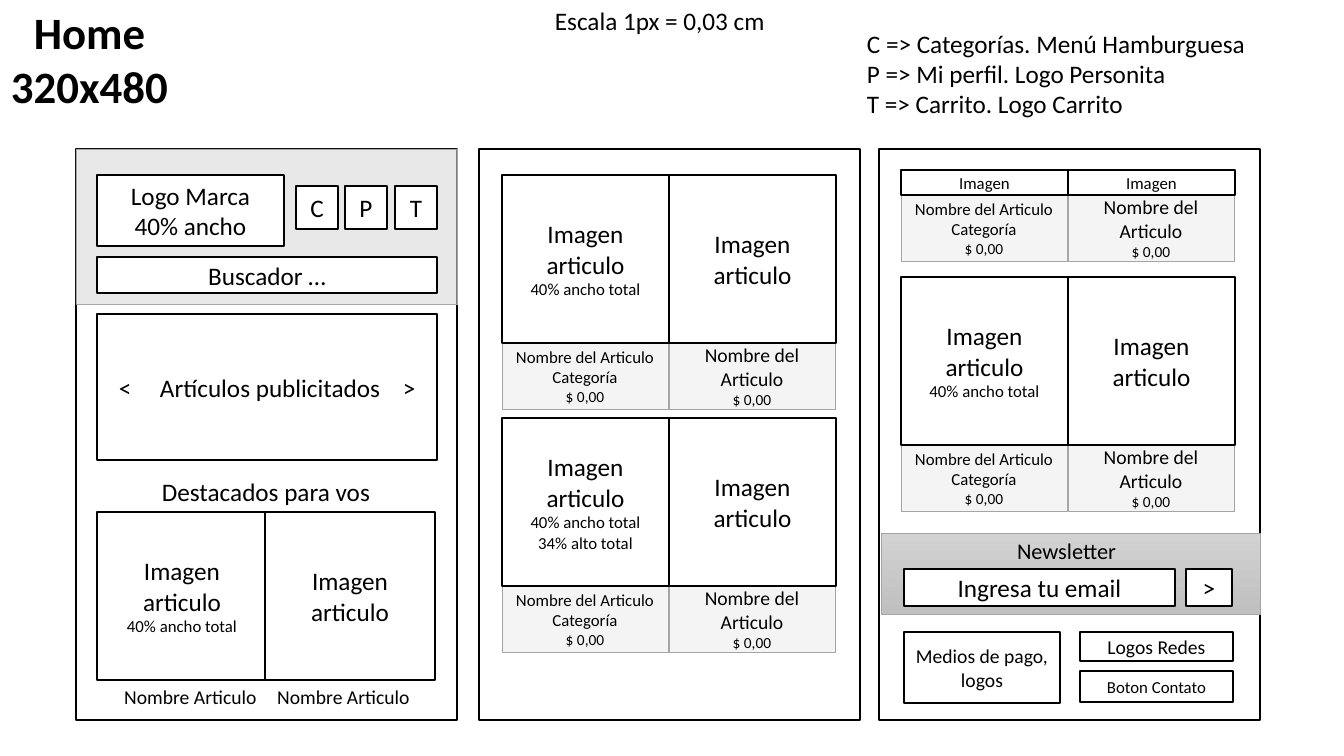
from lxml import etree
from pptx import Presentation
from pptx.dml.color import RGBColor
from pptx.enum.shapes import MSO_SHAPE
from pptx.enum.text import MSO_ANCHOR, MSO_AUTO_SIZE, PP_ALIGN
from pptx.oxml.ns import qn
from pptx.util import Pt

RECTANGLE = MSO_SHAPE.RECTANGLE
TOP, MIDDLE = MSO_ANCHOR.TOP, MSO_ANCHOR.MIDDLE
LEFT, CENTER = PP_ALIGN.LEFT, PP_ALIGN.CENTER
PIXEL = 914400 / 100.8
BLACK, WHITE, GRAY, PALE = "000000", "FFFFFF", "A5A5A5", "D9D9D9"


def write(shape, lines, align=CENTER, anchor=MIDDLE, wrap=True, bold=False):
    """Fill a shape with (text, size) paragraphs."""
    frame = shape.text_frame
    frame.auto_size = MSO_AUTO_SIZE.NONE
    frame.word_wrap = wrap
    frame.vertical_anchor = anchor
    for index, (text, size) in enumerate(lines):
        paragraph = frame.add_paragraph() if index else frame.paragraphs[0]
        paragraph.text = text
        paragraph.alignment = align
        paragraph.font.name = "Calibri"
        paragraph.font.size = Pt(size)
        paragraph.font.bold = bold
        paragraph.font.color.rgb = RGBColor.from_string(BLACK)


def add_box(box, lines=(), fill=WHITE, line=BLACK, opacity=100):
    """Draw an outlined rectangle at (left, top, width, height) in pixels."""
    shape = slide.shapes.add_shape(RECTANGLE, *[round(n * PIXEL) for n in box])
    shape.shadow.inherit = False
    shape.fill.solid()
    shape.fill.fore_color.rgb = RGBColor.from_string(fill)
    if opacity < 100:
        color = shape.fill._xPr.find(qn("a:solidFill"))[0]
        etree.SubElement(color, qn("a:alpha")).set("val", str(opacity * 1000))
    shape.line.color.rgb = RGBColor.from_string(line)
    shape.line.width = Pt(1 if line == BLACK else 0.5)
    write(shape, lines)
    return shape


presentation = Presentation()
presentation.slide_width = round(1344 * PIXEL)
presentation.slide_height = round(756 * PIXEL)
slide = presentation.slides.add_slide(presentation.slide_layouts[5])

# Title
title = slide.shapes.title
title.left, title.top = 0, 0
title.width, title.height = round(179 * PIXEL), round(119 * PIXEL)
write(title, [("Home", 32), ("320x480", 32)], anchor=TOP, wrap=False, bold=True)

# Three phone screens, with the header and newsletter bands
for left in (76, 479, 879):
    add_box((left, 149, 381, 571))
add_box((76, 149, 381, 155), fill=PALE, line=GRAY, opacity=58)
newsletter = add_box((881, 533, 379, 81), line=GRAY)
newsletter.fill.gradient()
newsletter.fill.gradient_angle = 270
for stop, color in zip(newsletter.fill.gradient_stops, ("D2D2D2", "C0C0C0")):
    stop.color.rgb = RGBColor.from_string(color)

# Header, search, newsletter form and footer boxes
for box, lines in [
    ((97, 175, 187, 71), [("Logo Marca", 18), ("40% ancho", 18)]),
    ((296, 186, 42, 43), [("C", 18)]),
    ((345, 186, 42, 43), [("P", 18)]),
    ((395, 186, 42, 43), [("T", 18)]),
    ((97, 257, 340, 36), [("Buscador …", 18)]),
    ((904, 569, 271, 37), [("Ingresa tu email", 18)]),
    ((1186, 569, 46, 37), [(">", 18)]),
    ((904, 632, 156, 71), [("Medios de pago, logos", 14)]),
    ((1080, 632, 153, 29), [("Logos Redes", 14)]),
    ((1080, 671, 153, 31), [("Boton Contato", 12)]),
]:
    add_box(box, lines)

# Carousel: arrows and label spaced by tab stops
carousel = add_box((97, 314, 340, 146))
write(carousel, [("<\tArtículos publicitados\t>", 18)], align=LEFT)
carousel.text_frame.margin_left = round(22 * PIXEL)
properties = carousel.text_frame.paragraphs[0]._p.get_or_add_pPr()
tab_list = etree.Element(qn("a:tabLst"))
for position in (41, 284):
    tab = etree.SubElement(tab_list, qn("a:tab"))
    tab.set("pos", str(round(position * PIXEL)))
    tab.set("algn", "l")
properties.insert(0, tab_list)

# Product cards: image above, caption below
image = ("Imagen articulo", 18)
width_note, height_note = ("40% ancho total", 12), ("34% alto total", 12)
price = ("$ 0,00", 11)
captions = (
    [("Nombre del Articulo\vCategoría", 12), price],
    [("Nombre del Articulo", 14), price],
)
strip = [("Imagen", 12)]
for left, top, height, images in [
    (502, 175, 168, ([image, width_note], [image])),
    (502, 418, 168, ([image, width_note, height_note], [image])),
    (901, 277, 168, ([image, width_note], [image])),
    (901, 170, 25, (strip, strip)),
]:
    for column in range(2):
        card_left = left + 167 * column
        add_box((card_left, top + height, 166, 66), captions[column],
                fill=PALE, line=GRAY, opacity=28)
        add_box((card_left, top, 167, height), images[column])

# Featured products
for left, lines in ((97, [image, width_note]), (265, [image])):
    add_box((left, 512, 170, 168), lines)

# Free labels
for box, lines, align, wrap in [
    ((152, 471, 231, 40), [("Destacados para vos", 18)], LEFT, False),
    ((97, 680, 187, 34), [("Nombre Articulo", 14)], CENTER, True),
    ((250, 680, 187, 34), [("Nombre Articulo", 14)], CENTER, True),
    ((901, 532, 331, 37), [("Newsletter", 16)], CENTER, True),
    ((545, 0, 233, 40), [("Escala 1px = 0,03 cm", 18)], LEFT, False),
    ((857, 23, 403, 102), [("C => Categorías. Menú Hamburguesa", 18),
                           ("P => Mi perfil. Logo Personita", 18),
                           ("T => Carrito. Logo Carrito", 18)], LEFT, False),
]:
    label = slide.shapes.add_textbox(*[round(n * PIXEL) for n in box])
    write(label, lines, align, TOP, wrap)

presentation.save("out.pptx")
